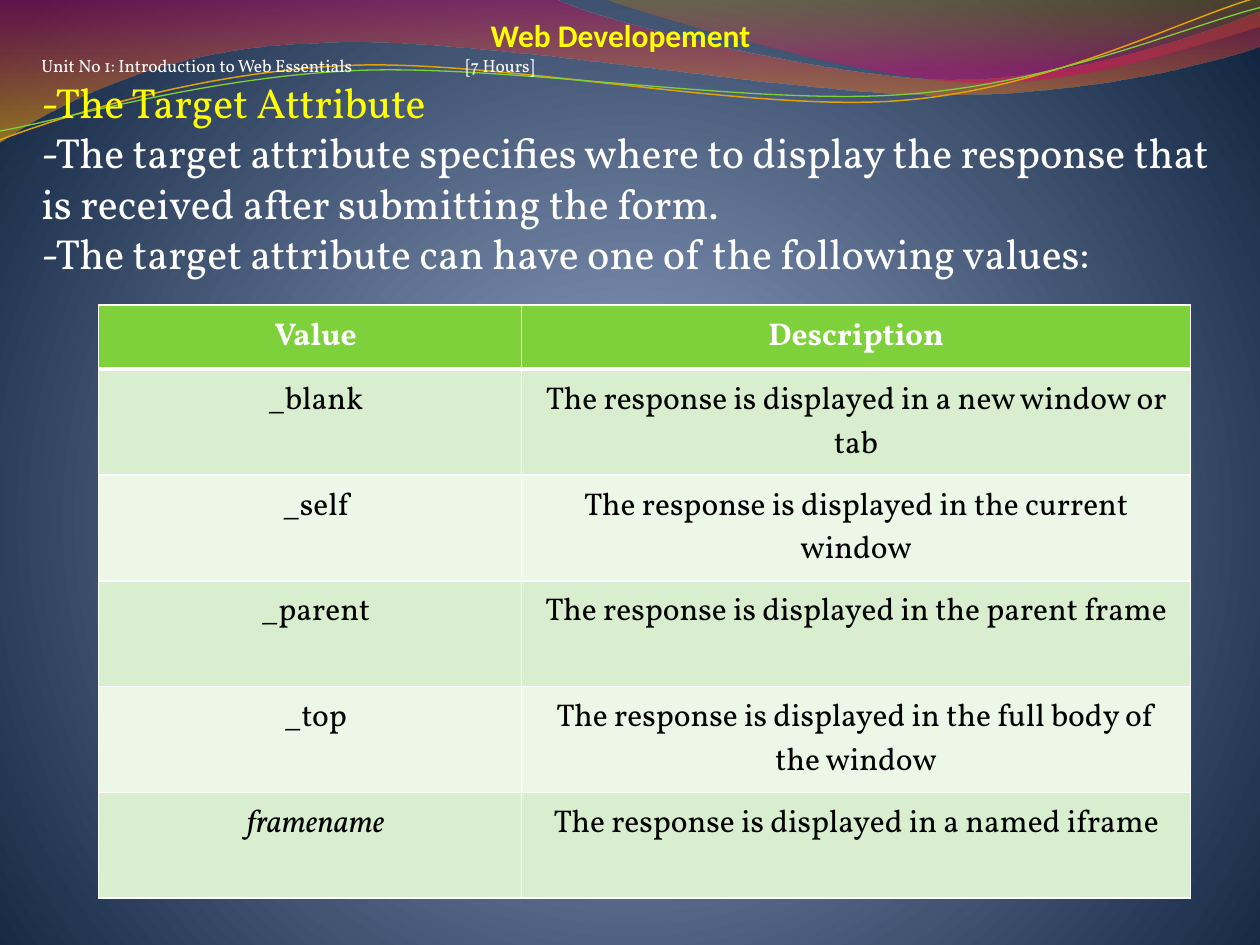
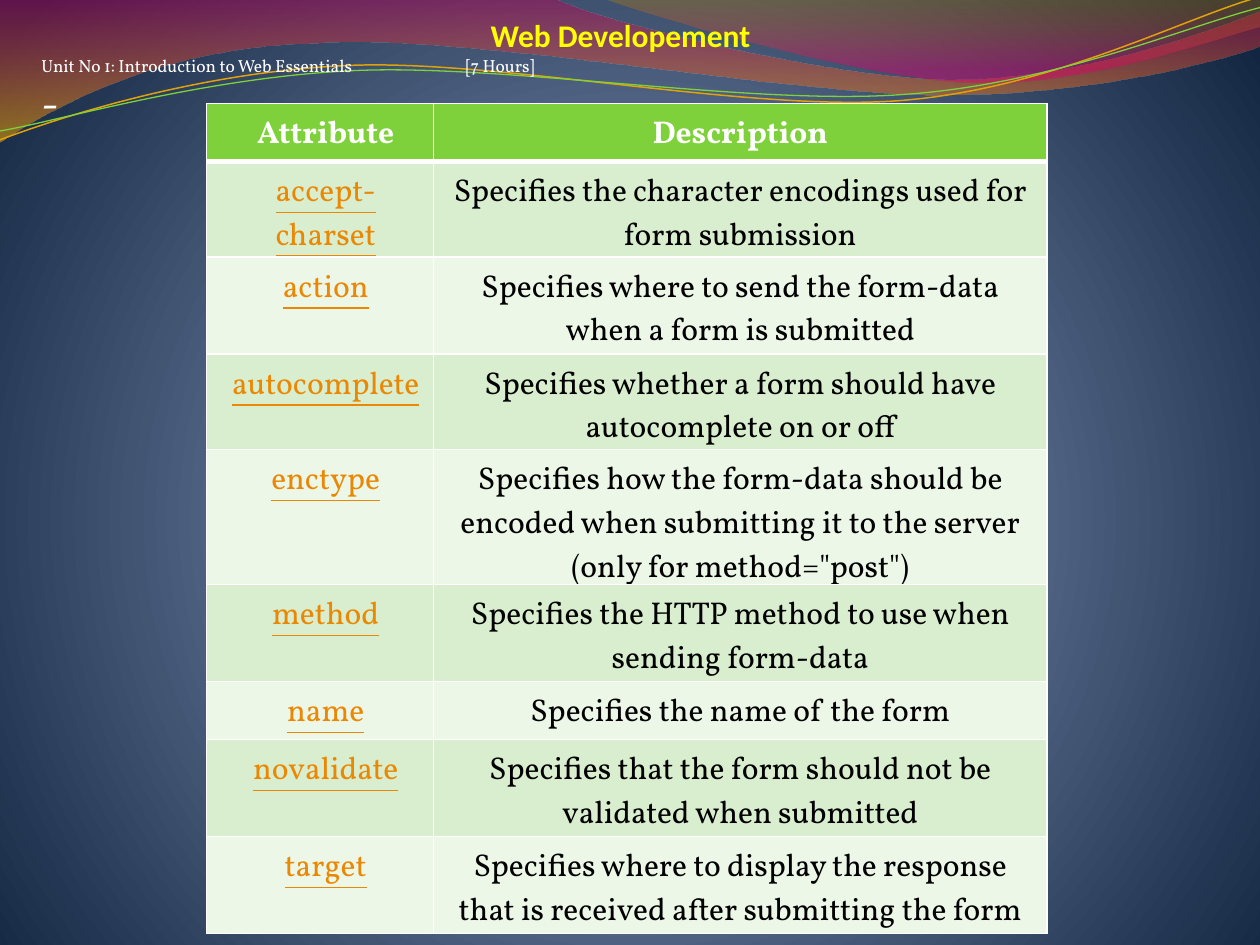
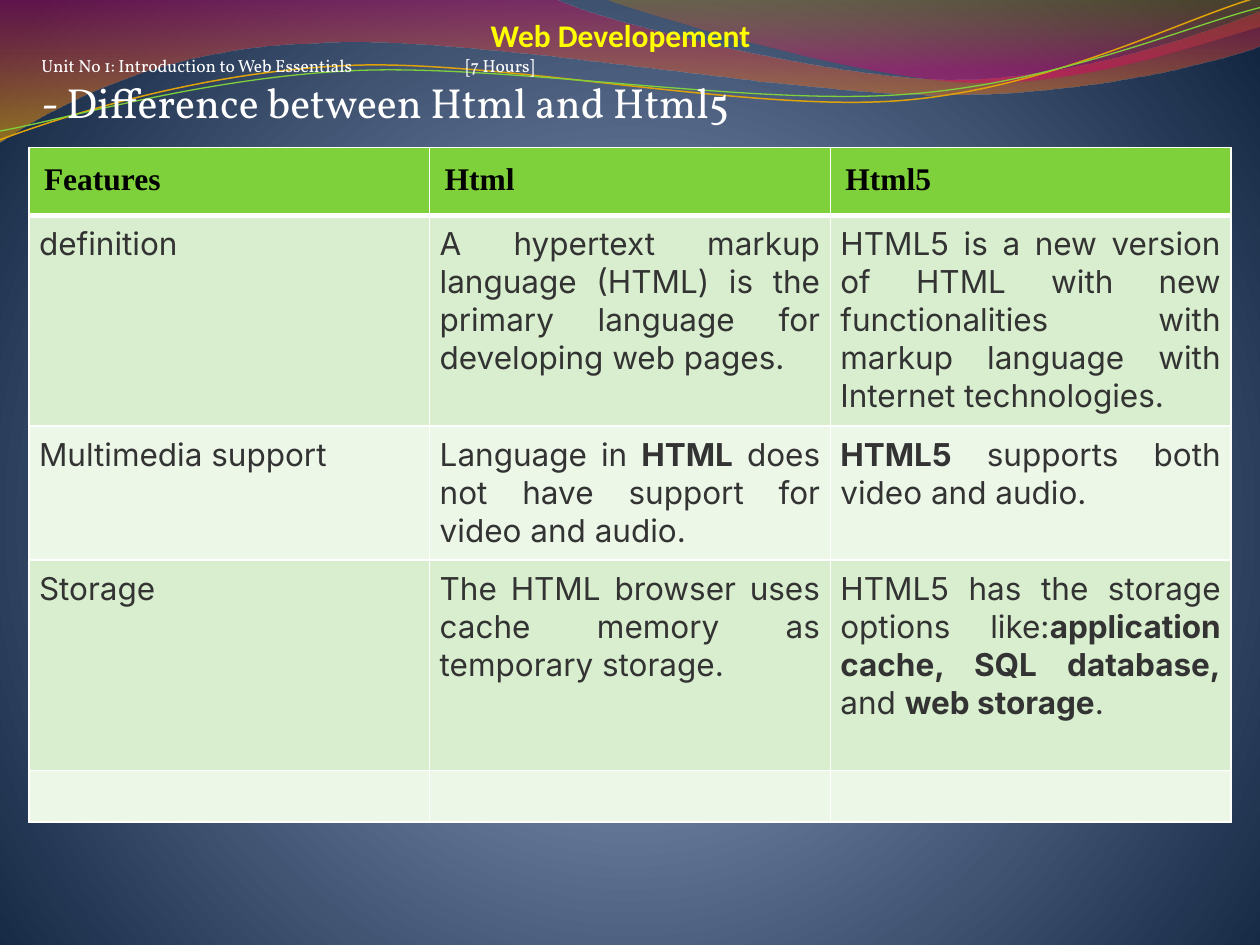
from dataclasses import dataclass

from lxml import etree
from pptx import Presentation
from pptx.dml.color import RGBColor
from pptx.enum.text import MSO_AUTO_SIZE, PP_ALIGN
from pptx.oxml import parse_xml
from pptx.oxml.ns import nsdecls, qn
from pptx.util import Emu, Pt

EMU_PER_PX = 9144  # 100 px to the inch
PAGE_SIZE = (1000, 750)
LEFT, CENTER, JUSTIFY = PP_ALIGN.LEFT, PP_ALIGN.CENTER, PP_ALIGN.JUSTIFY
NO_AUTOFIT = MSO_AUTO_SIZE.NONE

COLORS = {
    "white": "FFFFFF", "black": "000000", "yellow": "FFFF00", "orange": "EB8803",
    "charcoal": "333333", "green": "7FD13B", "band_dark": "D8EECE",
    "band_light": "ECF7E8", "gold": "E0A209", "sky": "768BB1", "steel": "7386A7",
    "navy": "122541", "crimson": "BD0059", "amber": "F0AB00", "ochre": "C38B00",
    "pink": "E1006B",
}
SERIF, SANS, HEADING, CLASSIC = "Vollkorn", "Inter", "Calibri", "Times New Roman"
TIGHT_BOTTOM = -7  # lets the tall serif lines fit the row heights

Point = tuple[int, int]
Curve = tuple[Point, Point, Point]
Stop = tuple[int, str, int]  # position %, colour name, opacity %


@dataclass(frozen=True)
class Span:
    text: str
    color: str = "white"
    size: int = 18
    font: str = SERIF
    bold: bool = False
    italic: bool = False
    underline: bool = False


@dataclass(frozen=True)
class Wave:
    """An outline of straight points and three-point curves."""
    start: Point
    steps: list[Point | Curve]
    stops: tuple[Stop, ...] = ()
    line: str = ""
    width: float = 0


@dataclass(frozen=True)
class Cell:
    spans: tuple[Span, ...] = ()
    align: PP_ALIGN = CENTER
    margins: tuple[int, int, int, int] = (8, 8, 8, 8)


@dataclass(frozen=True)
class Grid:
    left: int
    top: int
    columns: tuple[int, ...]
    rows: tuple[int, ...]
    cells: list[list[Cell]]


@dataclass(frozen=True)
class Lesson:
    lines: list[Span]
    height: int
    grid: Grid


WAVES = [
    Wave((0, 0), [(440, -1), ((476, 17), (664, 63), (758, 63)),
                  ((853, 63), (958, 26), (1000, 9)), (1001, 36),
                  ((983, 44), (870, 76), (746, 75)), ((622, 75), (382, 28), (257, 34)),
                  ((129, 36), (46, 83), (-1, 113))],
         stops=((0, "crimson", 45), (100, "amber", 55))),
    Wave((479, -1), [((509, 11), (682, 62), (769, 65)),
                     ((856, 69), (961, 32), (1000, 21)), (1000, 0)],
         stops=((0, "ochre", 30), (80, "pink", 45))),
    Wave((0, 111), [((48, 93), (158, 57), (277, 52)), ((395, 47), (593, 89), (713, 80)),
                    ((833, 71), (938, 15), (998, -2))], line="gold", width=0.85),
    Wave((0, 104), [((47, 96), (164, 61), (283, 56)), ((403, 51), (597, 84), (717, 75)),
                    ((836, 67), (941, 21), (1000, 6))], line="green", width=0.75),
]


def px(length: int) -> Emu:
    return Emu(length * EMU_PER_PX)


def rgb(name: str) -> RGBColor:
    return RGBColor.from_string(COLORS[name])


def set_gradient(fill, root, stops: tuple[Stop, ...], shade: str) -> None:
    """Fill with opacity-aware stops; shade is the XML of the direction."""
    fill.gradient()
    gradient = next(root.iter(qn("a:gradFill")))
    for child in list(gradient):
        gradient.remove(child)
    marks = "".join(
        f'<a:gs pos="{position * 1000}"><a:srgbClr val="{COLORS[color]}">'
        f'<a:alpha val="{opacity * 1000}"/></a:srgbClr></a:gs>'
        for position, color, opacity in stops)
    gradient.append(parse_xml(f'<a:gsLst {nsdecls("a")}>{marks}</a:gsLst>'))
    gradient.append(parse_xml(shade))


def paint_background(master) -> None:
    stops = ((0, "sky", 100), (25, "steel", 100), (100, "navy", 100))
    shade = (f'<a:path {nsdecls("a")} path="circle">'
             '<a:fillToRect l="10000" t="110000" r="10000" b="100000"/></a:path>')
    set_gradient(master.background.fill, master.element, stops, shade)


def is_curve(step: Point | Curve) -> bool:
    return isinstance(step[0], tuple)


def bend(shape, steps: list[Point | Curve]) -> None:
    """Join the three straight segments of each curve into one Bézier curve."""
    segments = iter(list(shape.element.iter(qn("a:lnTo"))))
    for step in steps:
        first = next(segments)
        if is_curve(step):
            first.tag = qn("a:cubicBezTo")
            for _ in range(2):
                extra = next(segments)
                first.append(extra[0])
                extra.getparent().remove(extra)


def draw_wave(page, wave: Wave) -> None:
    builder = page.shapes.build_freeform(*wave.start, scale=EMU_PER_PX)
    points = [point for step in wave.steps
              for point in (step if is_curve(step) else (step,))]
    builder.add_line_segments(points, close=bool(wave.stops))
    shape = builder.convert_to_shape()
    bend(shape, wave.steps)
    shape.shadow.inherit = False
    if wave.stops:
        shade = f'<a:lin {nsdecls("a")} ang="5400000" scaled="0"/>'
        set_gradient(shape.fill, shape.element.spPr, wave.stops, shade)
        shape.line.fill.background()
    else:
        shape.fill.background()
        shape.line.color.rgb = rgb(wave.line)
        shape.line.width = Pt(wave.width)


def add_spans(para, spans: tuple[Span, ...], align: PP_ALIGN = LEFT) -> None:
    para.alignment = align
    for span in spans:
        run = para.add_run()
        run.text = span.text
        font = run.font
        font.name, font.size, font.color.rgb = span.font, Pt(span.size), rgb(span.color)
        font.bold, font.italic, font.underline = span.bold, span.italic, span.underline


def draw_text(page, area: tuple[int, int, int, int], lines: list[Span],
              align: PP_ALIGN = LEFT):
    frame = page.shapes.add_textbox(*map(px, area)).text_frame
    frame.word_wrap = True
    frame.auto_size = NO_AUTOFIT
    for index, span in enumerate(lines):
        para = frame.add_paragraph() if index else frame.paragraphs[0]
        add_spans(para, (span,), align)
    return frame


def add_tab_stop(para, position: int) -> None:
    stops = etree.SubElement(para._p.get_or_add_pPr(), qn("a:tabLst"))
    etree.SubElement(stops, qn("a:tab"), pos=str(px(position)), algn="l")


def set_borders(box, is_header: bool) -> None:
    properties = box._tc.get_or_add_tcPr()
    for index, side in enumerate("LRTB"):
        width = Pt(3 if is_header and side == "B" else 1)
        properties.insert(index, parse_xml(
            f'<a:ln{side} {nsdecls("a")} w="{width}"><a:solidFill>'
            f'<a:srgbClr val="{COLORS["white"]}"/></a:solidFill></a:ln{side}>'))


def draw_grid(page, grid: Grid) -> None:
    table = page.shapes.add_table(
        len(grid.rows), len(grid.columns), px(grid.left), px(grid.top),
        px(sum(grid.columns)), px(sum(grid.rows))).table
    table.first_row = table.horz_banding = False
    for column, width in zip(table.columns, grid.columns):
        column.width = px(width)
    for row, height in zip(table.rows, grid.rows):
        row.height = px(height)
    for row_index, cells in enumerate(grid.cells):
        band = "band_dark" if row_index % 2 else "band_light"
        for column_index, cell in enumerate(cells):
            box = table.cell(row_index, column_index)
            box.fill.solid()
            box.fill.fore_color.rgb = rgb(band if row_index else "green")
            set_borders(box, row_index == 0)
            if cell.spans:
                (box.margin_left, box.margin_top,
                 box.margin_right, box.margin_bottom) = map(px, cell.margins)
                add_spans(box.text_frame.paragraphs[0], cell.spans, cell.align)


def pair(term: Span, description: Span) -> list[Cell]:
    return [Cell((term,), margins=(17, 8, 8, TIGHT_BOTTOM)),
            Cell((description,), margins=(8, 8, 8, TIGHT_BOTTOM))]


def header_pair(term: str) -> list[Cell]:
    return pair(Span(term, bold=True), Span("Description", bold=True))


def feature(*texts: str) -> list[Cell]:
    """Make a row of justified cells, where ** switches bold on and off."""
    return [Cell(tuple(Span(part, "charcoal", font=SANS, bold=index % 2 == 1)
                       for index, part in enumerate(text.split("**")) if part), JUSTIFY)
            for text in texts]


TARGETS = {
    "_blank": "The response is displayed in a new window or tab",
    "_self": "The response is displayed in the current window",
    "_parent": "The response is displayed in the parent frame",
    "_top": "The response is displayed in the full body of the window",
    "framename": "The response is displayed in a named iframe",
}
ATTRIBUTES = {
    "accept-charset": "Specifies the character encodings used for form submission",
    "action": "Specifies where to send the form-data when a form is submitted",
    "autocomplete": "Specifies whether a form should have autocomplete on or off",
    "enctype": "Specifies how the form-data should be encoded when submitting it to "
               'the server (only for method="post")',
    "method": "Specifies the HTTP method to use when sending form-data",
    "name": "Specifies the name of the form",
    "novalidate": "Specifies that the form should not be validated when submitted",
    "target": "Specifies where to display the response that is received after "
              "submitting the form",
}
FEATURES = [
    feature("definition",
            "A hypertext markup language (HTML) is the primary language for "
            "developing web pages.",
            "HTML5 is a new version of HTML with new functionalities with markup "
            "language with Internet technologies."),
    feature("Multimedia support",
            "Language in **HTML** does not have support for video and audio.",
            "**HTML5** supports both video and audio."),
    feature("Storage",
            "The HTML browser uses cache memory as temporary storage.",
            "HTML5 has the storage options like:**application cache, SQL database,"
            "** and **web storage**."),
    [Cell()] * 3,
]

LESSONS = [
    Lesson(
        [Span("-The Target Attribute", "yellow", 24),
         Span("-The target attribute specifies where to display the response that is "
              "received after submitting the form.", size=24),
         Span("-The target attribute can have one of the following values:", size=24)],
        714,
        Grid(78, 242, (336, 531), (51,) + (84,) * 5,
             [header_pair("Value")]
             + [pair(Span(value, "black", italic=value == "framename"),
                     Span(text, "black")) for value, text in TARGETS.items()])),
    Lesson(
        [Span("-", size=24)],
        229,
        Grid(164, 82, (180, 487), (46, 76, 77, 76, 107, 77, 46, 77, 77),
             [header_pair("Attribute")]
             + [pair(Span(name, "orange", underline=True), Span(text, "black"))
                for name, text in ATTRIBUTES.items()])),
    Lesson(
        [Span("- Difference between Html and Html5", size=24)],
        269,
        Grid(23, 117, (318,) * 3, (54, 167, 106, 167, 41),
             [[Cell((Span(name, "black", font=CLASSIC, bold=True),), LEFT, (12,) * 4)
               for name in ("Features", "Html", "Html5")]] + FEATURES)),
]


def draw_lesson(page, lesson: Lesson) -> None:
    for wave in WAVES:
        draw_wave(page, wave)
    draw_text(page, (180, 8, 625, 40),
              [Span("Web Developement", "yellow", font=HEADING, bold=True)], CENTER)
    unit = Span("Unit No 1: Introduction to Web Essentials\t[7 Hours]", size=10)
    frame = draw_text(page, (23, 39, 953, lesson.height), [unit, *lesson.lines])
    add_tab_stop(frame.paragraphs[0], 337)
    draw_grid(page, lesson.grid)


def main() -> None:
    deck = Presentation()
    deck.slide_width, deck.slide_height = map(px, PAGE_SIZE)
    paint_background(deck.slide_master)
    blank = deck.slide_layouts[6]
    for lesson in LESSONS:
        draw_lesson(deck.slides.add_slide(blank), lesson)
    deck.save("out.pptx")


if __name__ == "__main__":
    main()
